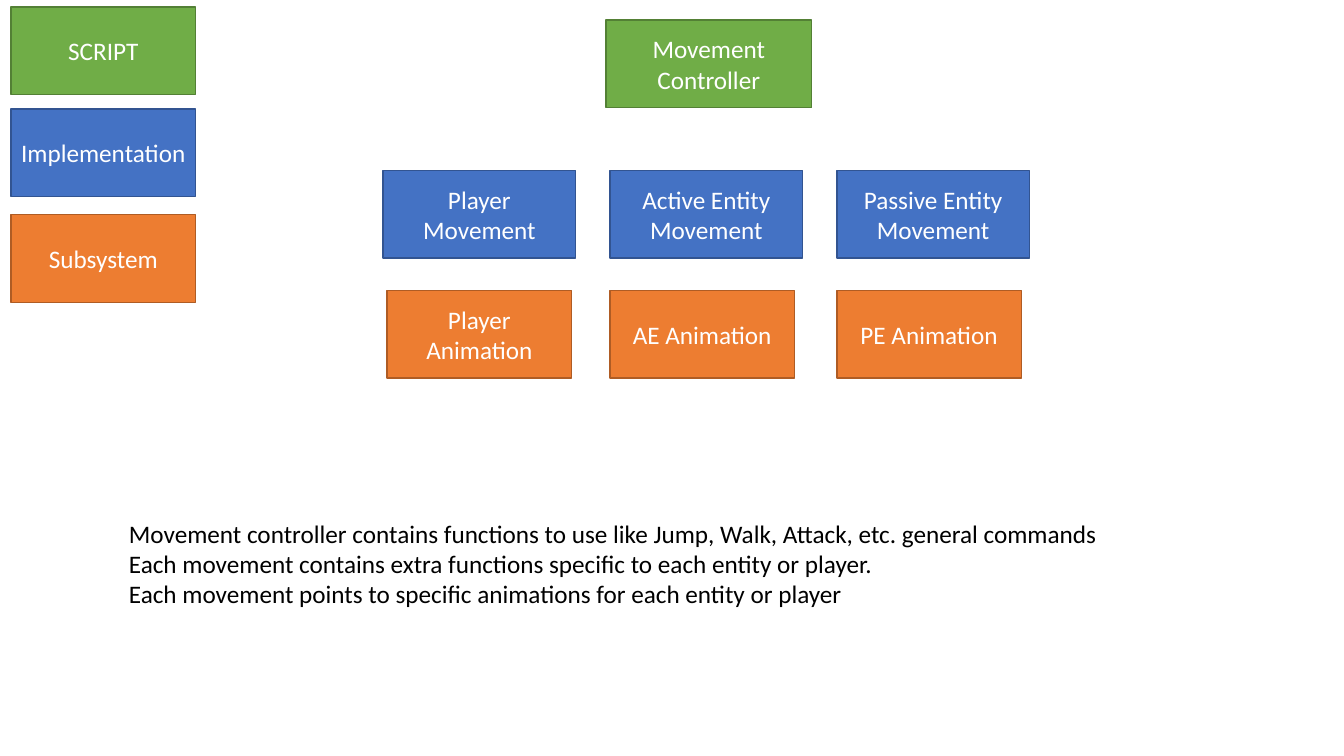
from dataclasses import dataclass

from pptx import Presentation
from pptx.dml.color import RGBColor as RGB
from pptx.enum.shapes import MSO_SHAPE as Shape
from pptx.enum.text import MSO_ANCHOR as Anchor, PP_ALIGN as Align
from pptx.util import Inches, Pt


@dataclass(frozen=True)
class Theme:
    """Colours, as fill and line pairs for boxes, and type."""
    script: tuple = ("70AD47", "538035")
    implementation: tuple = ("4472C4", "325491")
    subsystem: tuple = ("ED7D31", "AF5C24")
    on_box: str = "FFFFFF"
    ink: str = "000000"
    font: str = "Calibri"
    size: int = 18


THEME = Theme()
BOX_W, BOX_H = 1.83, 0.87
MOVEMENT_W = 1.91
COLUMN_X, COLUMN_STEP = 3.8, 2.25

LEGEND = (
    ("SCRIPT", THEME.script, 0.07),
    ("Implementation", THEME.implementation, 1.08),
    ("Subsystem", THEME.subsystem, 2.13),
)
ENTITIES = (
    ("Player Movement", "Player Animation", 0.04),
    ("Active Entity Movement", "AE Animation", 0),
    ("Passive Entity Movement", "PE Animation", 0),
)
NOTES = (
    "Movement controller contains functions to use like Jump, Walk, Attack, etc. general commands",
    "Each movement contains extra functions specific to each entity or player.",
    "Each movement points to specific animations for each entity or player",
)


def write(tf, *lines, color=THEME.ink, align=Align.LEFT, anchor=Anchor.TOP):
    """Write each line as a paragraph of the text frame."""
    tf.word_wrap = True
    tf.vertical_anchor = anchor
    for i, line in enumerate(lines):
        p = tf.paragraphs[0] if i == 0 else tf.add_paragraph()
        p.alignment = align
        r = p.add_run()
        r.text = line
        r.font.name = THEME.font
        r.font.size = Pt(THEME.size)
        r.font.color.rgb = RGB.from_string(color)


def add_box(s, text, colors, x, y, w=BOX_W):
    """Add a filled, outlined box with centred text."""
    sp = s.shapes.add_shape(Shape.RECTANGLE, Inches(x), Inches(y), Inches(w), Inches(BOX_H))
    fill, line = colors
    sp.shadow.inherit = False
    sp.fill.solid()
    sp.fill.fore_color.rgb = RGB.from_string(fill)
    sp.line.color.rgb = RGB.from_string(line)
    sp.line.width = Pt(1)
    tf = sp.text_frame
    tf.margin_left = tf.margin_right = Inches(0.09)
    write(tf, text, color=THEME.on_box, align=Align.CENTER, anchor=Anchor.MIDDLE)


def add_legend(s):
    """Add the key to the box colours."""
    for text, colors, y in LEGEND:
        add_box(s, text, colors, 0.11, y)


def add_entities(s):
    """Add one column of movement and animation per kind of entity."""
    for i, (movement, animation, indent) in enumerate(ENTITIES):
        x = COLUMN_X + i * COLUMN_STEP
        add_box(s, movement, THEME.implementation, x, 1.69, MOVEMENT_W)
        add_box(s, animation, THEME.subsystem, x + indent, 2.88)


def add_notes(s):
    """Add the explanatory text below the diagram."""
    sp = s.shapes.add_textbox(Inches(1.18), Inches(5.09), Inches(10.01), Inches(1.31))
    write(sp.text_frame, *NOTES)


def main():
    """Build and save the slide."""
    prs = Presentation()
    prs.slide_width, prs.slide_height = Inches(13.33), Inches(7.5)
    s = prs.slides.add_slide(prs.slide_layouts[6])
    add_legend(s)
    add_box(s, "Movement Controller", THEME.script, 6.01, 0.2, 2.04)
    add_entities(s)
    add_notes(s)
    prs.save("out.pptx")


main()
